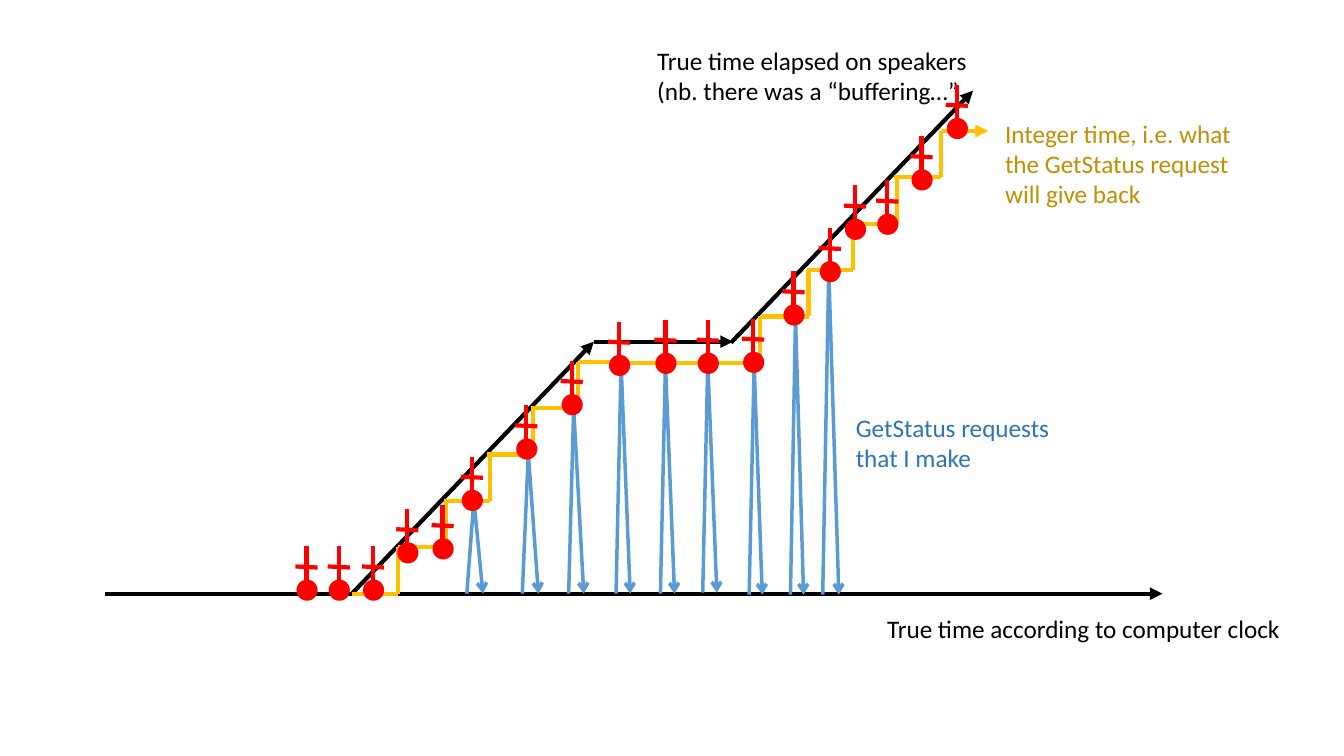
from lxml import etree
from pptx import Presentation
from pptx import util as u
from pptx.dml.color import RGBColor
from pptx.enum import shapes, text
from pptx.oxml.ns import qn

HUES = {"true": "000000", "step": "FFC000", "call": "5B9BD5", "mark": "FF0000",
        "step text": "BF9000", "call text": "2E75B6"}
FONT = "Calibri"

LABELS = [
    ("True time according to computer clock", (8.7, 6.04, 4.14, 0.4), "true"),
    ("True time elapsed on speakers\n(nb. there was a “buffering…”", (6.42, 0.4, 3.31, 0.71), "true"),
    ("Integer time, i.e. what\nthe GetStatus request\nwill give back", (9.87, 1.12, 2.47, 1.01), "step text"),
    ("GetStatus requests\nthat I make", (8.39, 4.04, 2.14, 0.71), "call text"),
]

# True time: clock axis, first climb, buffering, second climb
TRUE = [((1.04, 5.89), (11.53, 5.89)), ((3.49, 5.89), (5.89, 3.39)),
        ((5.89, 3.39), (7.27, 3.39)), ((7.25, 3.4), (9.65, 0.9))]

# Integer time: each flight has its first tread height, tread lefts,
# first riser foot and riser positions
STEP = 0.46
FLIGHTS = [
    (5.89, [3.49, 3.95, 4.4, 4.83, 5.27, 5.74], 5.89, [3.95, 4.42, 4.86, 5.29, 5.73]),
    (3.14, [7.56, 8, 8.43, 8.87, 9.34], 3.6, [7.54, 8.02, 8.46, 8.9, 9.33]),
]
FLAT_Y, FLAT = 3.6, [6.18, 6.65, 7.08]

# Requests: left foot, right foot, foot height, peak
CALLS = [
    (4.63, 4.79, 5.89, (4.7, 4.96)), (5.18, 5.34, 5.89, (5.24, 4.5)),
    (5.64, 5.79, 5.89, (5.69, 4.05)), (6.11, 6.25, 5.89, (6.16, 3.61)),
    (6.55, 6.69, 5.89, (6.6, 3.61)), (6.97, 7.11, 5.88, (7.02, 3.6)),
    (7.43, 7.56, 5.9, (7.48, 3.62)), (7.84, 7.97, 5.9, (7.89, 3.15)),
    (8.16, 8.32, 5.9, (8.22, 2.68)),
]

# Left and top of the dot in each marker
DOT = 0.21
MARKS = [
    (4.58, 4.86), (5.12, 4.35), (5.57, 3.91), (6.04, 3.52), (6.5, 3.5), (6.92, 3.5),
    (7.37, 3.49), (7.77, 3.02), (8.13, 2.59), (4.29, 5.34), (3.94, 5.38), (3.6, 5.75),
    (3.26, 5.75), (2.94, 5.75), (8.38, 2.17), (8.7, 2.12), (9.04, 1.68), (9.39, 1.17),
]


def color(name):
    """Return the named colour."""
    return RGBColor.from_string(HUES[name])


def line(home, start, end, hue, width=3, tip=None):
    """Draw a straight line in home, with an optional arrowhead at its end."""
    ends = [u.Inches(v) for v in (*start, *end)]
    bar = home.add_connector(shapes.MSO_CONNECTOR.STRAIGHT, *ends)
    bar.line.color.rgb = color(hue)
    bar.line.width = u.Pt(width)
    if tip:
        etree.SubElement(bar.line._get_or_add_ln(), qn("a:tailEnd"), type=tip)
    etree.SubElement(bar._element.spPr, qn("a:effectLst"))


def label(home, words, box, hue="true", size=18, font=FONT):
    """Write a text label that keeps its own line breaks."""
    frame = home.add_textbox(*[u.Inches(v) for v in box]).text_frame
    frame.word_wrap = False
    frame.auto_size = text.MSO_AUTO_SIZE.SHAPE_TO_FIT_TEXT
    para = frame.paragraphs[0]
    para.text = words
    for run in para.runs:
        run.font.size = u.Pt(size)
        run.font.name = font
        run.font.color.rgb = color(hue)


def stairs(home):
    """Draw the integer time as treads and risers."""
    for top, treads, foot, risers in FLIGHTS:
        for i, x in enumerate(treads):
            y = top - i * STEP
            last = x == FLIGHTS[-1][1][-1]
            line(home, (x, y), (x + STEP, y), "step", tip="triangle" if last else None)
        for i, x in enumerate(risers):
            y = foot - i * STEP
            line(home, (x, y - STEP), (x, y), "step")
    for x in FLAT:
        line(home, (x, FLAT_Y), (x + STEP, FLAT_Y), "step")


def call(home, left, right, foot, peak):
    """Draw one request going up and its answer coming down."""
    pair = home.add_group_shape().shapes
    line(pair, (left, foot), peak, "call", 2.5)
    line(pair, peak, (right, foot), "call", 2.5, "arrow")


def mark(home, x, y):
    """Draw one marker: a dot with a cross standing on it."""
    group = home.add_group_shape().shapes
    dot = group.add_shape(shapes.MSO_SHAPE.OVAL, *[u.Inches(v) for v in (x, y, DOT, DOT)])
    dot.shadow.inherit = False
    dot.fill.solid()
    dot.fill.fore_color.rgb = color("mark")
    dot.line.fill.background()
    line(group, (x + 0.1, y - 0.33), (x + 0.1, y + 0.13), "mark")
    line(group, (x + 0.21, y - 0.12), (x - 0.01, y - 0.13), "mark")


deck = Presentation()
deck.slide_width, deck.slide_height = u.Inches(13.33), u.Inches(7.5)
home = deck.slides.add_slide(deck.slide_layouts[6]).shapes

for start, end in TRUE:
    line(home, start, end, "true", tip="triangle")
stairs(home)
for item in LABELS:
    label(home, *item)
for item in CALLS:
    call(home, *item)
for spot in MARKS:
    mark(home, *spot)

deck.save("out.pptx")
